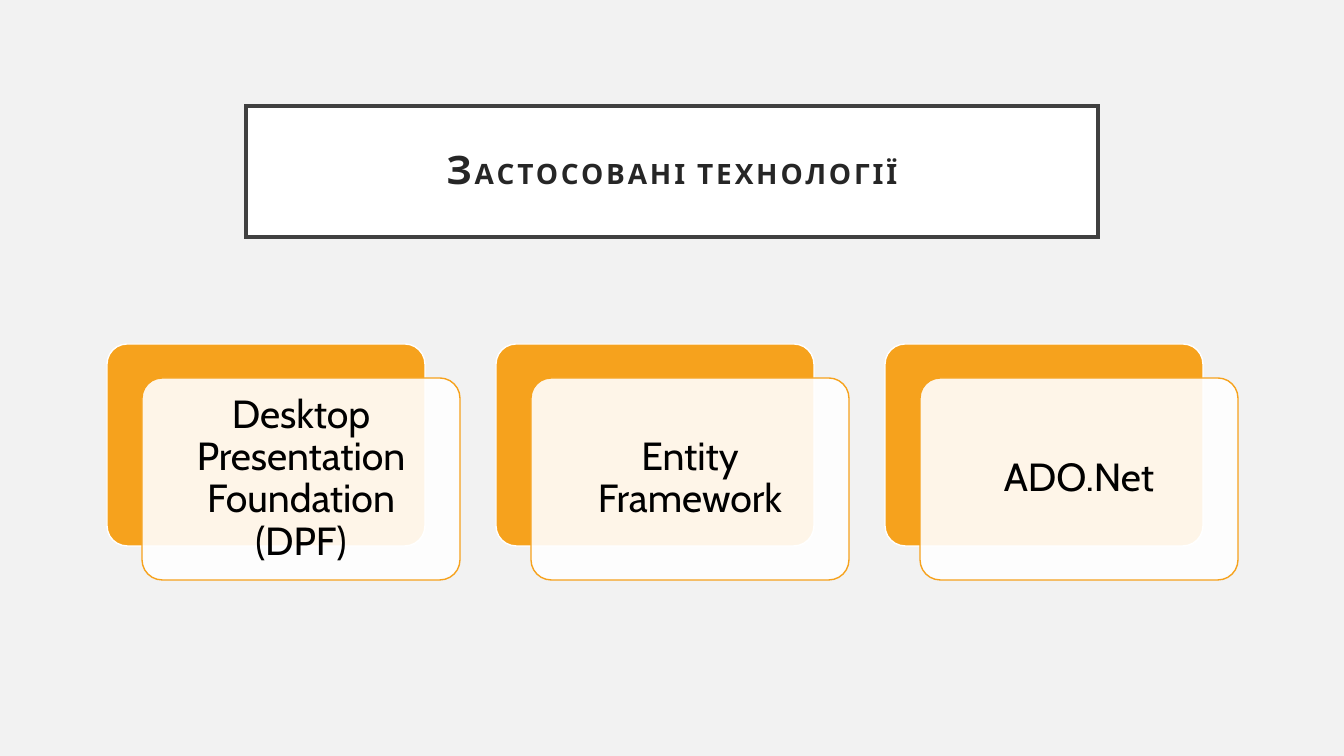
from pptx import Presentation
from pptx import util as u
from pptx.dml.color import RGBColor
from pptx.enum import shapes, text
from pptx.oxml.ns import qn
from lxml import etree

# Content
TITLE = [("З", 28), ("АСТОСОВАНІ ТЕХНОЛОГІЇ", 20)]
CARDS = ["Desktop Presentation Foundation (DPF)", "Entity Framework", "ADO.Net"]

# Look
HUES = {"page": "F2F2F2", "white": "FFFFFF", "frame": "404040",
        "title": "262626", "amber": "F6A21D", "black": "000000"}
FONT = "Cabin"
PX = 914400 / 100.8

# Layout in pixels
HEAD = (246, 106, 852, 131)
LEFT, TOP, STEP = 107, 344, 389
CARD_W, CARD_H = 318, 202
SHIFT_X, SHIFT_Y = 35, 34


def px(n):
    return u.Emu(round(n * PX))


def hue(name):
    return RGBColor.from_string(HUES[name])


def paint(shape, fill, line, width):
    shape.fill.solid()
    shape.fill.fore_color.rgb = hue(fill)
    shape.line.color.rgb = hue(line)
    shape.line.width = u.Pt(width)


def write(shape, runs, pad, color, bold):
    frame = shape.text_frame
    form = {"word_wrap": True, "auto_size": text.MSO_AUTO_SIZE.NONE,
            "vertical_anchor": text.MSO_ANCHOR.MIDDLE}
    for side in ("left", "top", "right", "bottom"):
        form["margin_" + side] = px(pad)
    for key, val in form.items():
        setattr(frame, key, val)
    para = frame.paragraphs[0]
    para.alignment = text.PP_ALIGN.CENTER
    para.line_spacing = 0.9
    for words, size in runs:
        run = para.add_run()
        run.text = words
        for key, val in {"name": FONT, "size": u.Pt(size), "bold": bold}.items():
            setattr(run.font, key, val)
        run.font.color.rgb = hue(color)
    return para


def add_card(x, y, fill, line):
    box = slide.shapes.add_shape(shapes.MSO_SHAPE.ROUNDED_RECTANGLE,
                                 px(x), px(y), px(CARD_W), px(CARD_H))
    box.adjustments[0] = 0.1
    box.shadow.inherit = False
    paint(box, fill, line, 1)
    return box


# Slide
deck = Presentation()
deck.slide_width, deck.slide_height = px(1344), px(756)
slide = deck.slides.add_slide(deck.slide_layouts[5])
slide.background.fill.solid()
slide.background.fill.fore_color.rgb = hue("page")

# Title with sharp corners and wide letter spacing
head = slide.shapes.title
for key, val in zip(("left", "top", "width", "height"), HEAD):
    setattr(head, key, px(val))
paint(head, "white", "frame", 2.5)
edge = head._element.spPr.find(qn("a:ln"))
etree.SubElement(edge, qn("a:miter")).set("lim", "800000")
for run in write(head, TITLE, 20, "title", True).runs:
    run.font._element.set("spc", "200")

# Cards: amber back, translucent front with the label
for i, label in enumerate(CARDS):
    x = LEFT + i * STEP
    add_card(x, TOP, "amber", "white")
    front = add_card(x + SHIFT_X, TOP + SHIFT_Y, "white", "amber")
    tint = front._element.spPr.find(qn("a:solidFill"))[0]
    etree.SubElement(tint, qn("a:alpha")).set("val", "90000")
    write(front, [(label, 28)], 18, "black", False)

deck.save("out.pptx")
